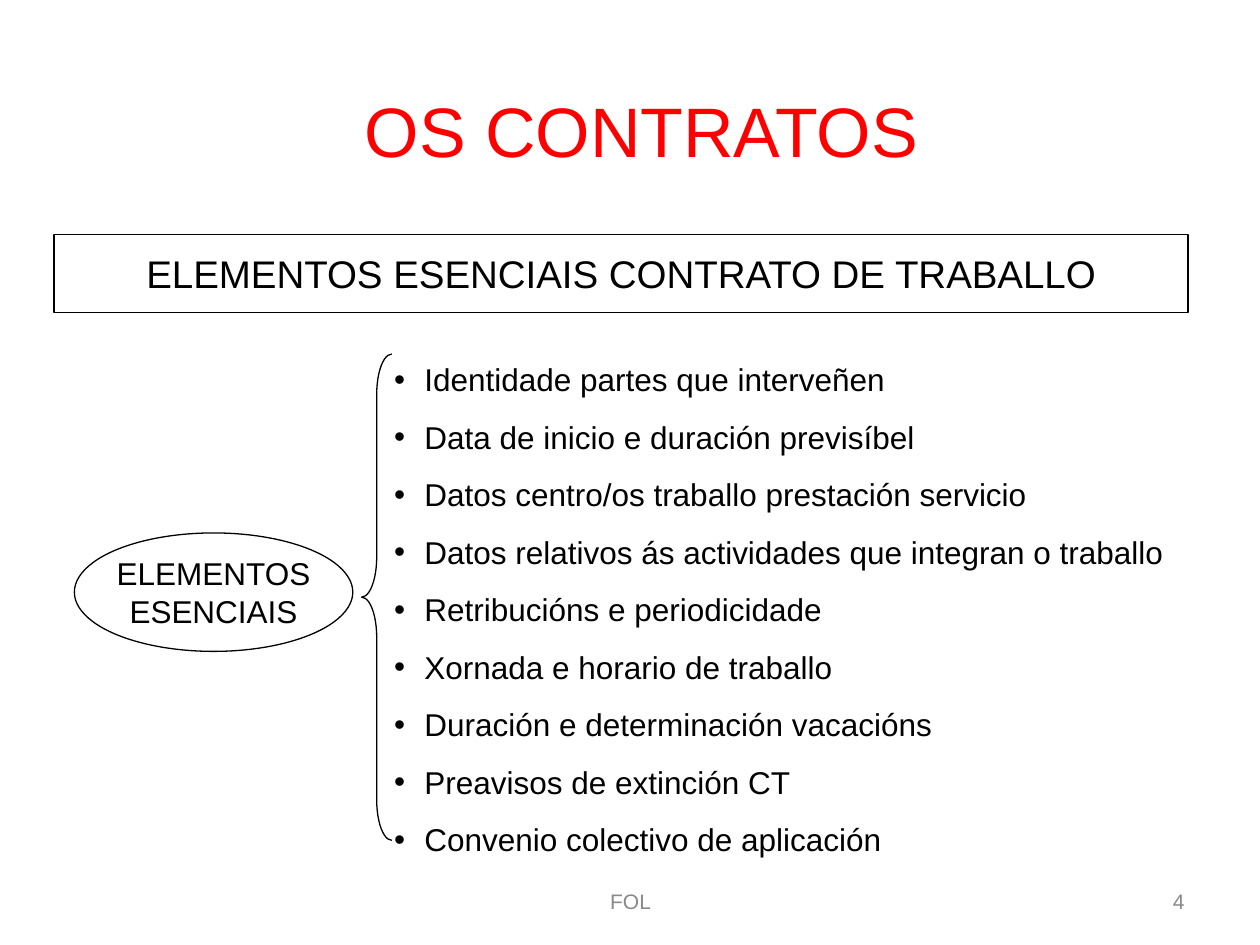
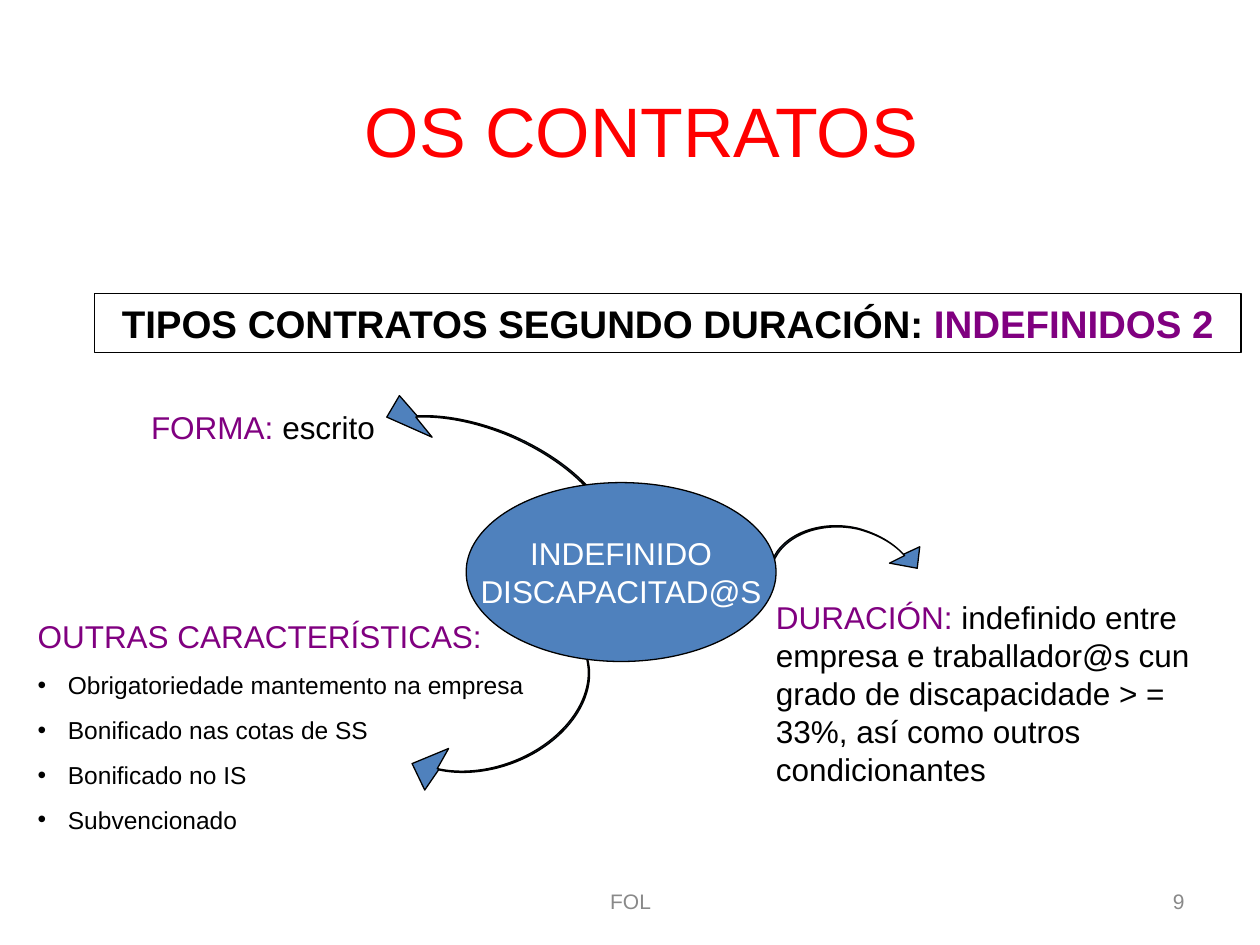
from math import cos, radians, sin
from pptx import Presentation
from pptx.dml.color import RGBColor
from pptx.enum.shapes import MSO_SHAPE
from pptx.enum.text import MSO_ANCHOR, MSO_AUTO_SIZE, PP_ALIGN
from pptx.oxml.ns import qn
from pptx.util import Inches, Pt
from lxml.etree import SubElement

COLORS = {"title": "FF0000", "text": "000000", "accent": "800080",
          "foot": "898989", "fill": "4F81BD", "light": "FFFFFF"}
FONT = "Arial"
INDENT = 0.24


def color(name):
    return RGBColor.from_string(COLORS[name])


def place(shape, box):
    shape.left, shape.top, shape.width, shape.height = map(Inches, box)


def outline(shape, fill=None):
    shape.shadow.inherit = False
    if fill:
        shape.fill.solid()
        shape.fill.fore_color.rgb = color(fill)
    else:
        shape.fill.background()
    shape.line.color.rgb = color("text")
    shape.line.width = Pt(0.75)


def write(par, runs, size=18, align=PP_ALIGN.LEFT, before=0, bold=False):
    """Fill a paragraph with (text, color) runs."""
    par.alignment = align
    par.space_before = Pt(before)
    for text, tone in runs:
        run = par.add_run()
        run.text = text
        run.font.name, run.font.size, run.font.bold = FONT, Pt(size), bold
        run.font.color.rgb = color(tone)


def bullet(par):
    props = par._p.get_or_add_pPr()
    props.set("marL", str(Inches(INDENT)))
    props.set("indent", str(-Inches(INDENT)))
    SubElement(props, qn("a:buFont")).set("typeface", FONT)
    SubElement(props, qn("a:buChar")).set("char", "•")


def add_par(frame):
    """Use the first empty paragraph, then append."""
    first = frame.paragraphs[0]
    return frame.add_paragraph() if first.runs else first


def add_text(slide, box, anchor=MSO_ANCHOR.TOP):
    frame = slide.shapes.add_textbox(*map(Inches, box)).text_frame
    frame.word_wrap = True
    frame.vertical_anchor = anchor
    return frame


def add_list(frame, items, size, before):
    for item in items:
        par = add_par(frame)
        write(par, [(item, "text")], size, before=before)
        bullet(par)


def add_label(slide, kind, box, lines, fill=None, size=18, bold=False, wrap=False):
    """Outlined shape with centred lines of runs."""
    shape = slide.shapes.add_shape(kind, *map(Inches, box))
    outline(shape, fill)
    frame = shape.text_frame
    frame.word_wrap = wrap
    frame.vertical_anchor = MSO_ANCHOR.MIDDLE
    for runs in lines:
        write(add_par(frame), runs, size, PP_ALIGN.CENTER, bold=bold)


def unturn(point, box, angle):
    """Place of a drawn point inside the box before it is turned."""
    left, top, width, height = box
    x, y = point[0] - left - width / 2, point[1] - top - height / 2
    c, s = cos(radians(angle)), sin(radians(angle))
    return x * c + y * s + width / 2, y * c - x * s + height / 2


def add_arrow(slide, box, angle, spine, head, shift):
    """Thin curved band that ends in a triangle."""
    back = [(x + shift[0], y + shift[1]) for x, y in reversed(spine)]
    points = [unturn(p, box, angle) for p in spine + back + head + spine[:1]]
    form = slide.shapes.build_freeform(0, 0).add_line_segments(
        [(Inches(1), Inches(1))]).convert_to_shape()
    place(form, box)
    form.rotation = angle
    outline(form, "fill")

    # Curved outline
    track = next(form._element.iter(qn("a:path")))
    track.clear()
    track.set("w", str(form.width))
    track.set("h", str(form.height))
    rest = iter(points)
    curves = [("cubicBezTo", 3)] * 2
    for kind, count in [("moveTo", 1), *curves, ("lnTo", 1), *curves, *[("lnTo", 1)] * 4]:
        step = SubElement(track, qn("a:" + kind))
        for _ in range(count):
            x, y = next(rest)
            dot = SubElement(step, qn("a:pt"))
            dot.set("x", str(Inches(x)))
            dot.set("y", str(Inches(y)))
    SubElement(track, qn("a:close"))


def add_base(deck, number):
    """Slide with the shared title, footer and page number."""
    slide = deck.slides.add_slide(deck.slide_layouts[5])
    title = slide.shapes.title
    place(title, (0.83, 0.23, 8.52, 1.6))
    title.text_frame.auto_size = MSO_AUTO_SIZE.NONE
    title.text_frame.vertical_anchor = MSO_ANCHOR.MIDDLE
    write(title.text_frame.paragraphs[0], [("OS CONTRATOS", "title")], 40, PP_ALIGN.CENTER)
    for text, left, width, align in (("FOL", 3.42, 3.17, PP_ALIGN.CENTER),
                                     (number, 7.17, 2.33, PP_ALIGN.RIGHT)):
        frame = add_text(slide, (left, 6.95, width, 0.4), MSO_ANCHOR.MIDDLE)
        write(frame.paragraphs[0], [(text, "foot")], 12, align)
    return slide


def add_group(slide, box, items):
    """Oval label, brace and the list it spans."""
    left, top, width, height = box
    add_label(slide, MSO_SHAPE.OVAL, (left, top + 1.42, 2.21, 0.94),
              [[("ELEMENTOS", "text")], [("ESENCIAIS", "text")]])
    brace = slide.shapes.add_shape(
        MSO_SHAPE.LEFT_BRACE, *map(Inches, (left + 2.28, top, 0.24, 3.86)))
    brace.adjustments[0] = 1.33
    outline(brace)
    frame = add_text(slide, (left + 2.44, top, width - 2.44, height))
    add_list(frame, items, 18, 11.25)


def add_map(slide, box):
    """Central oval with three arrows and their notes."""
    left, top = box
    arrows = [
        ((-0.28, 0.41, 2.19, 1.07), 202,
         [(0.3, 0.31), (0.52, 0.3), (0.77, 0.35), (1.02, 0.45),
          (1.57, 0.68), (1.93, 1.08), (1.82, 1.35)],
         [(0.17, 0.14), (0.07, 0.31), (0.43, 0.47)], (0.01, -0.01)),
        ((-0.03, 1.84, 1.73, 1.26), 160,
         [(0.47, 3.1), (0.65, 3.14), (0.86, 3.12), (1.05, 3.05),
          (1.49, 2.89), (1.76, 2.5), (1.64, 2.18)],
         [(0.37, 3.27), (0.27, 3.06), (0.56, 2.94)], (0.01, 0.01)),
        ((3.09, 1.19, 1.23, 0.94), 13,
         [(4.18, 1.41), (4.09, 1.31), (3.96, 1.24), (3.81, 1.2),
          (3.49, 1.13), (3.17, 1.27), (3.12, 1.52)],
         [(4.3, 1.34), (4.28, 1.51), (4.06, 1.47)], (-0.01, -0.01)),
    ]
    for (x, y, width, height), angle, spine, head, shift in arrows:
        spine, head = ([(left + a, top + b) for a, b in part] for part in (spine, head))
        add_arrow(slide, (left + x, top + y, width, height), angle, spine, head, shift)

    # Notes
    notes = [
        ((3.06, 1.7, 3.78, 1.6), "DURACIÓN: ",
         "indefinido entre empresa e traballador@s cun grado de discapacidade "
         "> = 33%, así como outros condicionantes", []),
        ((-1.9, 0.19, 3.31, 0.4), "FORMA: ", "escrito", []),
        ((-2.8, 1.85, 4.49, 1.82), "OUTRAS CARACTERÍSTICAS:", "",
         ["Obrigatoriedade mantemento na empresa", "Bonificado nas cotas de SS",
          "Bonificado no IS", "Subvencionado"]),
    ]
    for (x, y, width, height), head, body, items in notes:
        frame = add_text(slide, (left + x, top + y, width, height))
        runs = [(head, "accent")] + ([(body, "text")] if body else [])
        write(frame.paragraphs[0], runs, before=11.25)
        add_list(frame, items, 14, 8.75)

    add_label(slide, MSO_SHAPE.OVAL, (left + 0.7, top + 0.83, 2.46, 1.42),
              [[("INDEFINIDO", "light")], [("DISCAPACITAD@S", "light")]], "fill")


def main():
    deck = Presentation()
    deck.slide_width, deck.slide_height = Inches(10), Inches(7.5)

    # Essential elements
    slide = add_base(deck, "4")
    add_label(slide, MSO_SHAPE.RECTANGLE, (0.43, 1.86, 9, 0.62),
              [[("ELEMENTOS ESENCIAIS CONTRATO DE TRABALLO", "text")]], size=22, wrap=True)
    add_group(slide, (0.59, 2.81, 9.41, 4.05), [
        "Identidade partes que interveñen",
        "Data de inicio e duración previsíbel",
        "Datos centro/os traballo prestación servicio",
        "Datos relativos ás actividades que integran o traballo",
        "Retribucións e periodicidade",
        "Xornada e horario de traballo",
        "Duración e determinación vacacións",
        "Preavisos de extinción CT",
        "Convenio colectivo de aplicación"])

    # Open-ended contracts
    slide = add_base(deck, "9")
    add_label(slide, MSO_SHAPE.RECTANGLE, (0.75, 2.33, 9.1, 0.47),
              [[("TIPOS CONTRATOS SEGUNDO DURACIÓN: ", "text"), ("INDEFINIDOS 2", "accent")]],
              size=22, bold=True)
    add_map(slide, (3, 3))

    deck.save("out.pptx")


if __name__ == "__main__":
    main()
